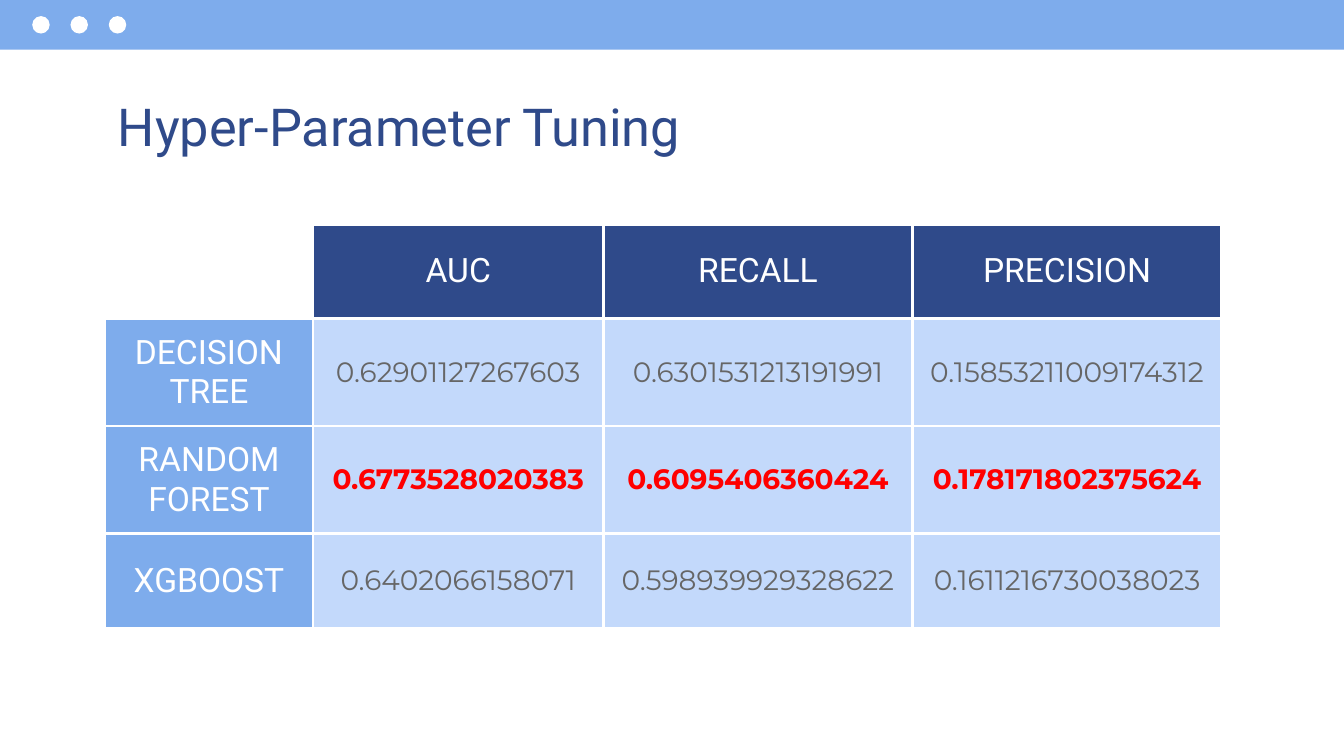
from typing import NamedTuple

from lxml.etree import SubElement
from pptx import Presentation
from pptx.dml.color import RGBColor
from pptx.enum.shapes import MSO_SHAPE
from pptx.enum.text import MSO_ANCHOR, PP_ALIGN
from pptx.oxml.ns import qn
from pptx.util import Inches, Pt

NAVY = RGBColor(0x2F, 0x4A, 0x8A)
BLUE = RGBColor(0x7E, 0xAC, 0xEC)
PALE = RGBColor(0xC3, 0xD9, 0xFB)
GRAY = RGBColor(0x66, 0x66, 0x66)
RED = RGBColor(0xFF, 0x00, 0x00)
WHITE = RGBColor(0xFF, 0xFF, 0xFF)

WIDTH = 10
HEIGHT = WIDTH * 9 / 16
MARGIN = 0.78
BAR_HEIGHT = 0.37
DOT_SIZE, DOT_LEFT, DOT_STEP = 0.13, 0.24, 0.285
TABLE_TOP, ROW_HEIGHT = 1.67, 0.7
COL_WIDTHS = (1.55, 2.16, 2.3, 2.3)


class ModelScore(NamedTuple):
    model: str
    values: tuple[str, str, str]
    best: bool = False


METRICS = ("AUC", "RECALL", "PRECISION")
SCORES = (
    ModelScore("DECISION TREE",
               ("0.62901127267603", "0.6301531213191991", "0.15853211009174312")),
    ModelScore("RANDOM FOREST",
               ("0.6773528020383", "0.6095406360424", "0.178171802375624"), best=True),
    ModelScore("XGBOOST",
               ("0.6402066158071", "0.598939929328622", "0.1611216730038023")),
)


def write(tf, text: str, *, size: float, color: RGBColor, font: str = "Roboto",
          bold: bool = False, align=PP_ALIGN.LEFT) -> None:
    p = tf.paragraphs[0]
    p.alignment = align
    r = p.add_run()
    r.text = text
    r.font.name, r.font.size, r.font.bold = font, Pt(size), bold
    r.font.color.rgb = color


def add_plain(s, kind, left: float, top: float, width: float, height: float,
              color: RGBColor) -> None:
    sp = s.shapes.add_shape(kind, Inches(left), Inches(top), Inches(width), Inches(height))
    sp.shadow.inherit = False
    sp.fill.solid()
    sp.fill.fore_color.rgb = color
    sp.line.fill.background()


def add_window_bar(s) -> None:
    add_plain(s, MSO_SHAPE.RECTANGLE, 0, 0, WIDTH, BAR_HEIGHT, BLUE)
    for i in range(3):
        add_plain(s, MSO_SHAPE.OVAL, DOT_LEFT + i * DOT_STEP, (BAR_HEIGHT - DOT_SIZE) / 2,
                  DOT_SIZE, DOT_SIZE, WHITE)


def add_title(s, text: str) -> None:
    box = s.shapes.add_textbox(Inches(MARGIN), Inches(0.6),
                               Inches(WIDTH - 2 * MARGIN), Inches(0.51))
    tf = box.text_frame
    tf.word_wrap = True
    tf.margin_left = tf.margin_right = tf.margin_top = tf.margin_bottom = Inches(0.1)
    write(tf, text, size=28, color=NAVY)


def set_borders(cell) -> None:
    """Draw white lines on all four sides, ahead of the fill as the schema asks."""
    tc_pr = cell._tc.get_or_add_tcPr()
    for i, side in enumerate(("lnL", "lnR", "lnT", "lnB")):
        ln = SubElement(tc_pr, qn(f"a:{side}"), w=str(Pt(1.5)))
        fill = SubElement(ln, qn("a:solidFill"))
        SubElement(fill, qn("a:srgbClr"), val=str(WHITE))
        tc_pr.insert(i, ln)


def fill_cell(cell, text: str, fill: RGBColor, **text_format) -> None:
    cell.fill.solid()
    cell.fill.fore_color.rgb = fill
    write(cell.text_frame, text, align=PP_ALIGN.CENTER, **text_format)


def add_score_table(s) -> None:
    rows = len(SCORES) + 1
    table = s.shapes.add_table(rows, len(COL_WIDTHS), Inches(MARGIN), Inches(TABLE_TOP),
                               Inches(sum(COL_WIDTHS)), Inches(rows * ROW_HEIGHT)).table
    table.first_row = table.horz_banding = False
    for col, width in zip(table.columns, COL_WIDTHS):
        col.width = Inches(width)
    for row in table.rows:
        row.height = Inches(ROW_HEIGHT)
    for cell in table.iter_cells():
        cell.margin_left = cell.margin_right = Inches(0.1)
        cell.margin_top = cell.margin_bottom = Inches(0.1)
        cell.vertical_anchor = MSO_ANCHOR.MIDDLE
        cell.fill.background()
        set_borders(cell)

    for c, metric in enumerate(METRICS, start=1):
        fill_cell(table.cell(0, c), metric, NAVY, size=18, color=WHITE)
    for r, score in enumerate(SCORES, start=1):
        fill_cell(table.cell(r, 0), score.model, BLUE, size=18, color=WHITE)
        for c, value in enumerate(score.values, start=1):
            fill_cell(table.cell(r, c), value, PALE, size=15, font="Montserrat",
                      color=RED if score.best else GRAY, bold=score.best)


def main() -> None:
    prs = Presentation()
    prs.slide_width, prs.slide_height = Inches(WIDTH), Inches(HEIGHT)
    s = prs.slides.add_slide(prs.slide_layouts[6])
    add_window_bar(s)
    add_title(s, "Hyper-Parameter Tuning")
    add_score_table(s)
    prs.save("out.pptx")


if __name__ == "__main__":
    main()
